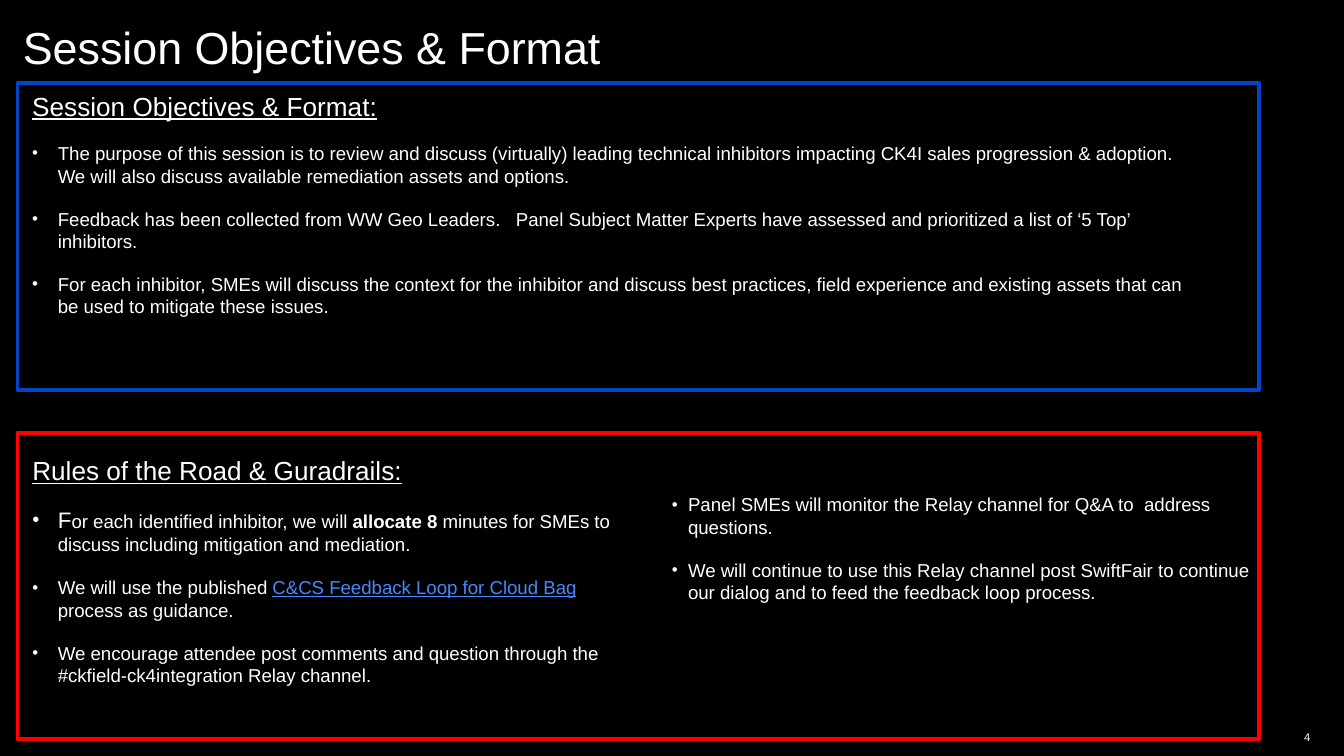
import dataclasses

import lxml.etree
import pptx
import pptx.dml.color
import pptx.enum.shapes
import pptx.enum.text
import pptx.oxml.ns
import pptx.util


@dataclasses.dataclass(frozen=True)
class Theme:
    """Colours, font and type sizes of the slide."""

    font: str = "Arial"
    background: str = "000000"
    text: str = "FFFFFF"
    link: str = "4589FF"
    objectives: str = "0146C9"
    rules: str = "FF0000"
    title_size: int = 24
    heading_size: int = 14
    lead_size: int = 12
    body_size: int = 10
    number_size: int = 6
    space_before: int = 11
    frame_width: int = 2


class SlideBuilder:
    """Places styled elements on a grid of 100 columns by 56.25 rows."""

    columns = 100
    rows = 56.25

    def __init__(self, presentation, theme):
        self.theme = theme
        self.column = presentation.slide_width / self.columns
        self.row = presentation.slide_height / self.rows
        self.slide = presentation.slides.add_slide(presentation.slide_layouts[6])
        fill = self.slide.background.fill
        fill.solid()
        fill.fore_color.rgb = self.color(theme.background)

    def color(self, value):
        return pptx.dml.color.RGBColor.from_string(value)

    def place(self, left, top, width, height):
        return (int(left * self.column), int(top * self.row),
                int(width * self.column), int(height * self.row))

    def text_frame(self, *area):
        frame = self.slide.shapes.add_textbox(*self.place(*area)).text_frame
        frame.word_wrap = True
        frame.margin_left = frame.margin_right = 0
        frame.margin_top = frame.margin_bottom = 0
        return frame

    def run(self, paragraph, text, size, color=None, bold=False, underline=False):
        run = paragraph.add_run()
        run.text = text
        run.font.name = self.theme.font
        run.font.size = pptx.util.Pt(size)
        run.font.bold = bold
        run.font.underline = underline
        run.font.color.rgb = self.color(color or self.theme.text)

    def line(self, area, text, size):
        frame = self.text_frame(*area)
        self.run(frame.paragraphs[0], text, size)
        return frame

    def bullet(self, paragraph, indent):
        properties = paragraph._p.get_or_add_pPr()
        offset = int(indent * self.column)
        properties.set("marL", str(offset))
        properties.set("indent", str(-offset))
        name = pptx.oxml.ns.qn
        color = lxml.etree.SubElement(properties, name("a:buClr"))
        lxml.etree.SubElement(color, name("a:srgbClr"), val=self.theme.text)
        lxml.etree.SubElement(properties, name("a:buSzPct"), val="90000")
        lxml.etree.SubElement(properties, name("a:buFont"), typeface=self.theme.font)
        lxml.etree.SubElement(properties, name("a:buChar"), char="•")

    def bullet_list(self, area, items, indent, heading=None):
        frame = self.text_frame(*area)
        paragraph = frame.paragraphs[0]
        if heading:
            self.run(paragraph, heading, self.theme.heading_size, underline=True)
        for index, item in enumerate(items):
            follows = heading or index
            if follows:
                paragraph = frame.add_paragraph()
            self.bullet(paragraph, indent)
            if follows:
                paragraph.space_before = pptx.util.Pt(self.theme.space_before)
            for text, style in item:
                self.run(paragraph, text, **{"size": self.theme.body_size, **style})

    def frame(self, area, color):
        shape = self.slide.shapes.add_shape(
            pptx.enum.shapes.MSO_SHAPE.RECTANGLE, *self.place(*area))
        shape.shadow.inherit = False
        shape.fill.background()
        shape.line.color.rgb = self.color(color)
        shape.line.width = pptx.util.Pt(self.theme.frame_width)


def main():
    presentation = pptx.Presentation()
    presentation.slide_width = pptx.util.Inches(10)
    presentation.slide_height = presentation.slide_width * 9 // 16
    theme = Theme()
    builder = SlideBuilder(presentation, theme)

    title = builder.line((1.7, 1.9, 45.2, 3.8), "Session Objectives & Format",
                         theme.title_size)
    title.paragraphs[0].line_spacing = 0.9

    number = builder.line((77.5, 53.9, 20, 1.8), "4", theme.number_size)
    number.vertical_anchor = pptx.enum.text.MSO_ANCHOR.MIDDLE
    number.paragraphs[0].alignment = pptx.enum.text.PP_ALIGN.RIGHT

    objectives = [
        "The purpose of this session is to review and discuss (virtually) leading "
        "technical inhibitors impacting CK4I sales progression & adoption.  We will "
        "also discuss available remediation assets and options.",
        "Feedback has been collected from WW Geo Leaders.   Panel Subject Matter "
        "Experts have assessed and prioritized a list of ‘5 Top’ inhibitors.",
        "For each inhibitor, SMEs will discuss the context for the inhibitor and "
        "discuss best practices, field experience and existing assets that can be "
        "used to mitigate these issues.",
    ]
    builder.bullet_list((2.4, 6.7, 85.6, 20.8), [[(text, {})] for text in objectives],
                        1.9, "Session Objectives & Format:")

    rules = [
        [("F", {"size": theme.lead_size}),
         ("or each identified inhibitor, we will ", {}),
         ("allocate 8", {"bold": True}),
         (" minutes for SMEs to discuss including mitigation and mediation.", {})],
        [("We will use the published ", {}),
         ("C&CS Feedback Loop for Cloud Bag", {"color": theme.link, "underline": True}),
         (" process as guidance.", {})],
        [("We encourage attendee post comments and question through the "
          "#ckfield-ck4integration Relay channel.", {})],
    ]
    builder.bullet_list((2.4, 33.8, 44.5, 21.1), rules, 1.9,
                        "Rules of the Road & Guradrails:")

    channel = [
        "Panel SMEs will monitor the Relay channel for Q&A to  address questions.",
        "We will continue to use this Relay channel post SwiftFair to continue our "
        "dialog and to feed the feedback loop process.",
    ]
    builder.bullet_list((50, 36.7, 43.6, 17.6), [[(text, {})] for text in channel], 1.2)

    for top, color in ((6.2, theme.objectives), (32.2, theme.rules)):
        builder.frame((1.3, top, 92.4, 22.8), color)

    presentation.save("out.pptx")


if __name__ == "__main__":
    main()
